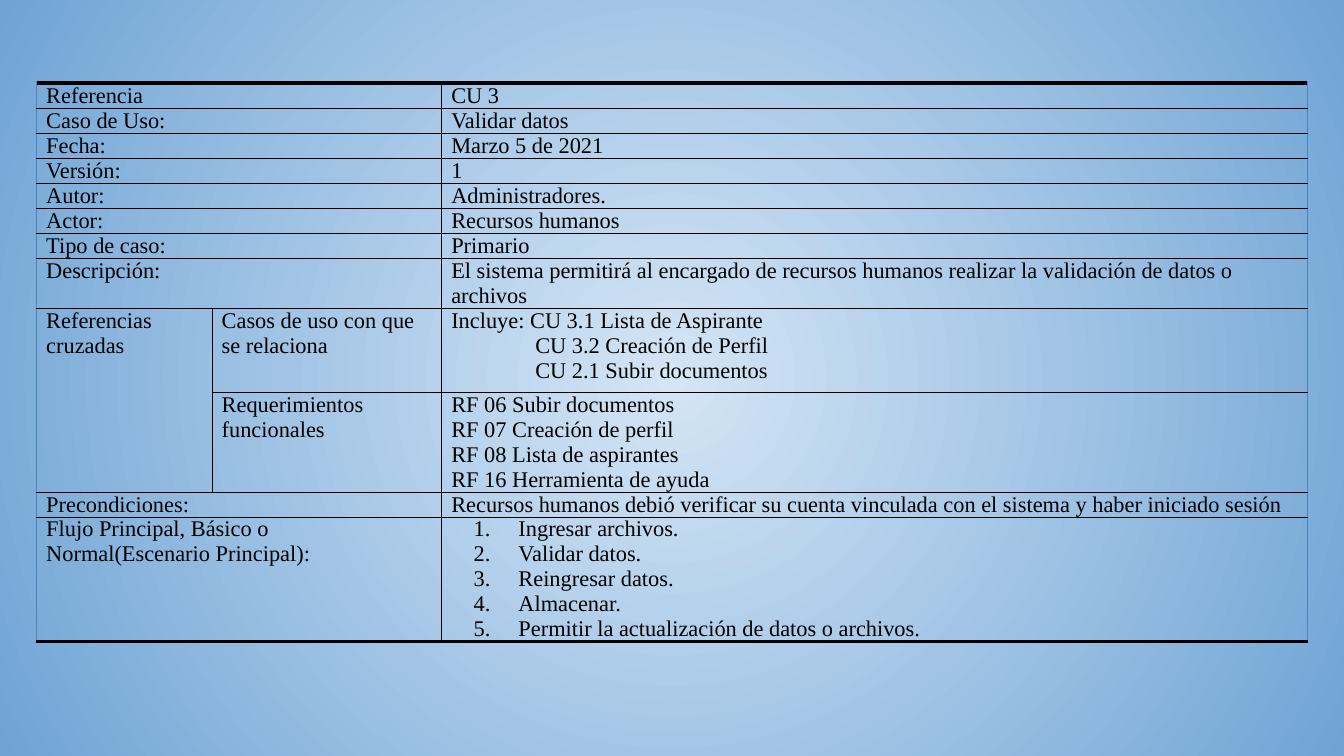
from lxml.etree import SubElement
from pptx import Presentation
from pptx.dml.color import RGBColor
from pptx.oxml.ns import qn
from pptx.util import Pt

BLACK = RGBColor(0x00, 0x00, 0x00)
EDGE_BLUE = RGBColor(0x4F, 0x81, 0xBD)
PALE_BLUE = RGBColor(0xD4, 0xE5, 0xF5)
SKY_BLUE = RGBColor(0x70, 0xA4, 0xD5)
PLAIN_TABLE = "{2D5ABB26-0587-4C30-8999-92F81FD0307C}"

COLUMN_WIDTHS = [94, 123, 464]
ROW_HEIGHTS = [13.45] * 7 + [26.3, 45, 53, 13.4, 66.7]
ROWS = [
    ("Referencia", "", "CU 3"),
    ("Caso de Uso:", "", "Validar datos"),
    ("Fecha:", "", "Marzo 5 de 2021"),
    ("Versión:", "", "1"),
    ("Autor:", "", "Administradores."),
    ("Actor:", "", "Recursos humanos"),
    ("Tipo de caso:", "", "Primario"),
    ("Descripción:", "", "El sistema permitirá al encargado de recursos humanos "
     "realizar la validación de datos o archivos"),
    ("Referencias cruzadas", "Casos de uso con que se relaciona",
     "Incluye: CU 3.1 Lista de Aspirante\nCU 3.2 Creación de Perfil\n"
     "CU 2.1 Subir documentos"),
    ("", "Requerimientos funcionales",
     "RF 06 Subir documentos\nRF 07 Creación de perfil\n"
     "RF 08 Lista de aspirantes\nRF 16 Herramienta de ayuda"),
    ("Precondiciones:", "", "Recursos humanos debió verificar su cuenta vinculada "
     "con el sistema y haber iniciado sesión"),
    ("Flujo Principal, Básico o Normal(Escenario Principal):", "",
     "Ingresar archivos.\nValidar datos.\nReingresar datos.\nAlmacenar.\n"
     "Permitir la actualización de datos o archivos."),
]
CROSS_ROW = 8
LAST_ROW = len(ROWS) - 1


def add_border(cell, side, color, width):
    line = SubElement(cell._tc.get_or_add_tcPr(), qn("a:ln" + side), w=str(Pt(width)))
    fill = SubElement(line, qn("a:solidFill"))
    SubElement(fill, qn("a:srgbClr"), val=str(color))


deck = Presentation()
deck.slide_width, deck.slide_height = Pt(720), Pt(405)
page = deck.slides.add_slide(deck.slide_layouts[6])

# Radial background
background = page.background.fill
background.gradient()
for stop, color in zip(background.gradient_stops, (PALE_BLUE, SKY_BLUE)):
    stop.color.rgb = color
gradient = page.element.find(".//" + qn("a:gradFill"))
gradient.remove(gradient.find(qn("a:lin")))
circle = SubElement(gradient, qn("a:path"), path="circle")
SubElement(circle, qn("a:fillToRect"), l="50000", t="50000", r="50000", b="50000")

# Table grid and merged cells
frame = page.shapes.add_table(len(ROWS), len(COLUMN_WIDTHS), Pt(19.6), Pt(44.6),
                              Pt(sum(COLUMN_WIDTHS)), Pt(sum(ROW_HEIGHTS)))
table = frame.table
table.first_row = table.horz_banding = False
table._tbl.tblPr.find(qn("a:tableStyleId")).text = PLAIN_TABLE
for column, width in zip(table.columns, COLUMN_WIDTHS):
    column.width = Pt(width)
for row, height in zip(table.rows, ROW_HEIGHTS):
    row.height = Pt(height)
for index, (label, sublabel, value) in enumerate(ROWS):
    if not sublabel:
        table.cell(index, 0).merge(table.cell(index, 1))
table.cell(CROSS_ROW, 0).merge(table.cell(CROSS_ROW + 1, 0))

# Cell text and borders
for row_index, texts in enumerate(ROWS):
    for column_index, text in enumerate(texts):
        cell = table.cell(row_index, column_index)
        if cell.is_spanned:
            continue
        cell.margin_left = cell.margin_right = Pt(5.2)
        cell.margin_top = cell.margin_bottom = 0
        left = (EDGE_BLUE, 1) if column_index == 0 else (BLACK, 0.5)
        right = (EDGE_BLUE, 1) if column_index == 2 else (BLACK, 0.5)
        add_border(cell, "L", *left)
        add_border(cell, "R", *right)
        add_border(cell, "T", BLACK, 2.25 if row_index == 0 else 0.5)
        add_border(cell, "B", BLACK, 2.25 if row_index == LAST_ROW else 0.5)
        cell.fill.background()

        cell.text_frame.text = text
        for line_index, para in enumerate(cell.text_frame.paragraphs):
            properties = para._p.get_or_add_pPr()
            if column_index == 2 and row_index == LAST_ROW:
                properties.set("marL", str(Pt(36)))
                properties.set("indent", str(Pt(-24)))
                bullet_color = SubElement(properties, qn("a:buClr"))
                SubElement(bullet_color, qn("a:srgbClr"), val=str(BLACK))
                SubElement(properties, qn("a:buFont"), typeface="+mj-lt")
                SubElement(properties, qn("a:buAutoNum"), type="arabicPeriod")
            elif column_index == 2 and row_index == CROSS_ROW and line_index > 0:
                properties.set("marL", str(Pt(45)))
            for span in para.runs:
                span.font.name = "Times New Roman"
                span.font.size = Pt(12)
                span.font.color.rgb = BLACK

deck.save("out.pptx")
